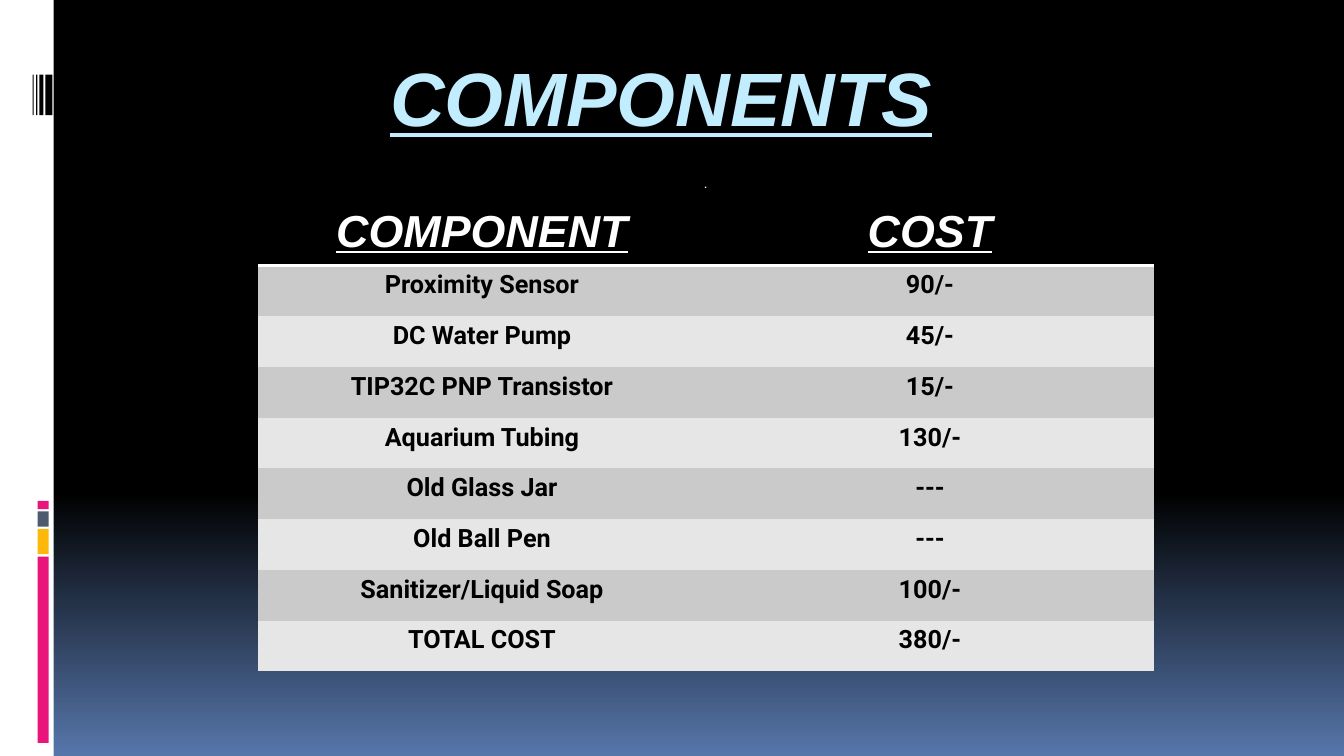
from lxml import etree
from pptx import Presentation
from pptx.dml.color import RGBColor
from pptx.enum.shapes import MSO_SHAPE
from pptx.enum.text import MSO_ANCHOR, PP_ALIGN
from pptx.oxml import parse_xml
from pptx.oxml.ns import qn
from pptx.util import Pt

RECT = MSO_SHAPE.RECTANGLE
TOP, BOTTOM = MSO_ANCHOR.TOP, MSO_ANCHOR.BOTTOM
CENTER = PP_ALIGN.CENTER
BLACK = RGBColor(0x00, 0x00, 0x00)
WHITE = RGBColor(0xFF, 0xFF, 0xFF)
BLUE = RGBColor(0x56, 0x76, 0xAA)
SKY = RGBColor(0xC1, 0xED, 0xFF)
PINK = RGBColor(0xEA, 0x15, 0x7A)
GOLD = RGBColor(0xFE, 0xB8, 0x0A)
SLATE = RGBColor(0x4E, 0x5B, 0x6F)
DARK = RGBColor(0xCA, 0xCA, 0xCA)
LIGHT = RGBColor(0xE6, 0xE6, 0xE6)
PLAIN = "{2D5ABB26-0587-4C30-8999-92F81FD0307C}"
NS = "http://schemas.openxmlformats.org/drawingml/2006/main"
RULE = (f'<a:lnB xmlns:a="{NS}" w="25400"><a:solidFill>'
        '<a:srgbClr val="FFFFFF"/></a:solidFill></a:lnB>')

TITLE = "COMPONENTS"
ROWS = [
    ("COMPONENT", "COST"),
    ("Proximity Sensor", "90/-"),
    ("DC Water Pump", "45/-"),
    ("TIP32C PNP Transistor", "15/-"),
    ("Aquarium Tubing", "130/-"),
    ("Old Glass Jar", "---"),
    ("Old Ball Pen", "---"),
    ("Sanitizer/Liquid Soap", "100/-"),
    ("TOTAL COST", "380/-"),
]
CODE = [(32.4, 5), (28.1, 2.9), (25.9, 0.8), (23.3, 0.8)]
STACK = [(PINK, 5.8), (SLATE, 10.8), (GOLD, 18), (PINK, 133.2)]
GAP = 1.7
COL = 320
HEAD, BODY = 43.4, 36.25


def add_bar(slide, x, y, w, h, color):
    bar = slide.shapes.add_shape(RECT, Pt(x), Pt(y), Pt(w), Pt(h))
    bar.shadow.inherit = False
    bar.fill.solid()
    bar.fill.fore_color.rgb = color
    bar.line.fill.background()


def add_run(para, text, size, face, color, bold=False, slant=False):
    para.alignment = CENTER
    run = para.add_run()
    run.text = text
    font = run.font
    font.size, font.name = Pt(size), face
    font.color.rgb = color
    font.bold, font.italic, font.underline = bold, slant, slant


def add_box(slide, x, y, w, h, anchor, inset):
    frame = slide.shapes.add_textbox(Pt(x), Pt(y), Pt(w), Pt(h)).text_frame
    frame.word_wrap = True
    frame.vertical_anchor = anchor
    frame.margin_top = Pt(inset)
    return frame.paragraphs[0]


def add_costs(slide):
    tall = HEAD + BODY * (len(ROWS) - 1)
    frame = slide.shapes.add_table(len(ROWS), 2, Pt(184.3), Pt(144),
                                   Pt(COL * 2), Pt(tall))
    table = frame.table
    table.horz_banding = False
    for style in frame.element.iter(qn("a:tableStyleId")):
        style.text = PLAIN
    for col in table.columns:
        col.width = Pt(COL)
    for i, row in enumerate(ROWS):
        head = i == 0
        table.rows[i].height = Pt(HEAD if head else BODY)
        for j, text in enumerate(row):
            cell = table.cell(i, j)
            cell.fill.solid()
            cell.fill.fore_color.rgb = BLACK if head else (LIGHT, DARK)[i % 2]
            para = cell.text_frame.paragraphs[0]
            if head:
                add_run(para, text, 32, "Arial", WHITE, True, True)
                cell.fill.fore_color.rgb = BLACK
                props = cell.text_frame._txBody.getparent().find(qn("a:tcPr"))
                props.insert(0, parse_xml(RULE))
            else:
                add_run(para, text, 18, "Roboto", BLACK, True)


def main():
    deck = Presentation()
    deck.slide_width, deck.slide_height = Pt(960), Pt(540)
    slide = deck.slides.add_slide(deck.slide_layouts[6])

    fill = slide.background.fill
    fill.gradient()
    fill.gradient_angle = 270
    for stop, (place, color) in zip(fill.gradient_stops,
                                    [(0.65, BLACK), (1, BLUE)]):
        stop.position = place
        stop.color.rgb = color

    add_bar(slide, 0, 0, 38.4, 540, WHITE)
    for x, w in CODE:
        add_bar(slide, x, 53.4, w, 28.8, BLACK)
    y = 357.8
    for color, h in STACK:
        add_bar(slide, 26.8, y, 7.9, h, color)
        y += h + GAP

    para = add_box(slide, 112.3, 27.4, 720, 66.2, TOP, 9)
    add_run(para, TITLE, 54, "Arial", SKY, True, True)
    para = add_box(slide, 96, 122.4, 816, 18, BOTTOM, 3.6)
    para.line_spacing = 0.8
    add_run(para, ".", 11, "Cabin", WHITE)
    add_costs(slide)
    deck.save("out.pptx")


if __name__ == "__main__":
    main()
